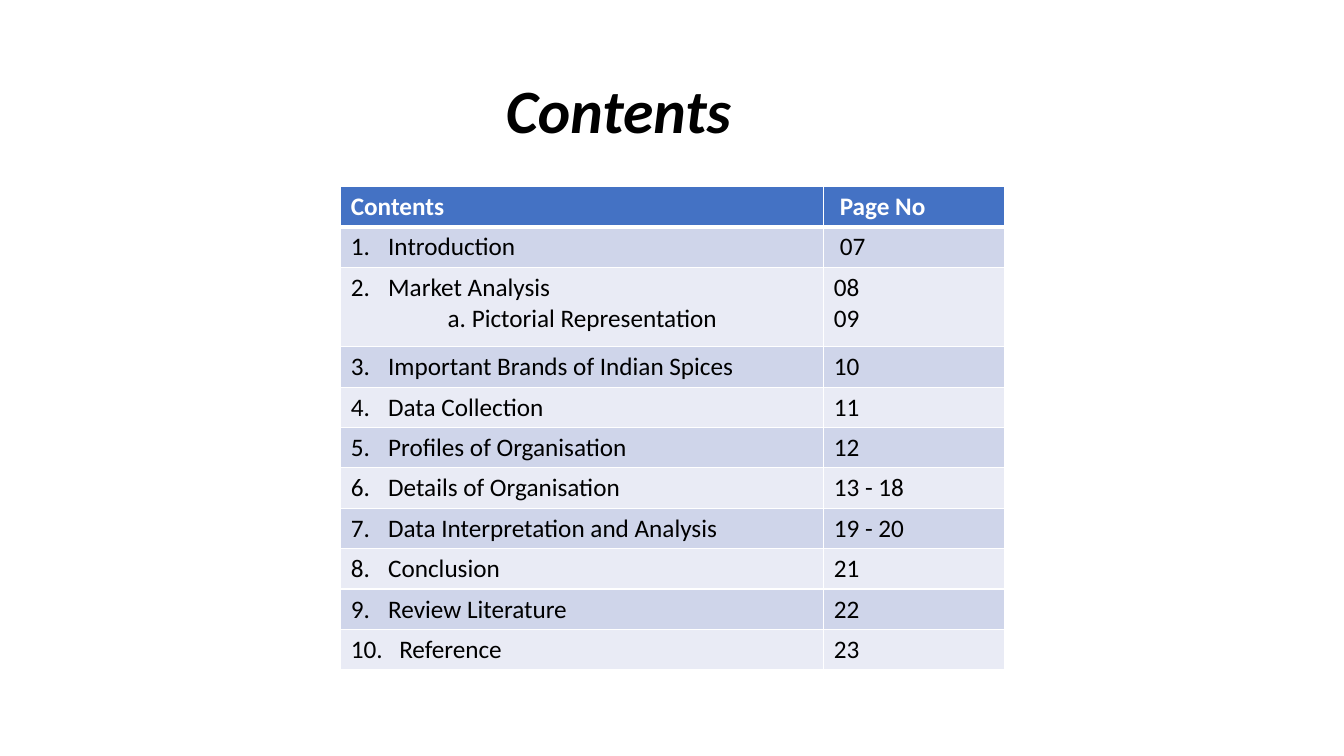
from pptx import Presentation
from pptx.dml.color import RGBColor as RGB
from pptx.enum.text import MSO_ANCHOR as Anchor
from pptx.oxml import parse_xml
from pptx.oxml.ns import nsdecls
from pptx.util import Inches, Pt

HUES = {"ink": "000000", "head": "4472C4", "odd": "CFD5EA", "even": "E9EBF5", "white": "FFFFFF"}
ITEMS = [
    ("Introduction", "07"),
    ("Market Analysis", "08"),
    ("Important Brands of Indian Spices", "10"),
    ("Data Collection", "11"),
    ("Profiles of Organisation", "12"),
    ("Details of Organisation", "13 - 18"),
    ("Data Interpretation and Analysis", "19 - 20"),
    ("Conclusion", "21"),
    ("Review Literature", "22"),
    ("Reference", "23"),
]
SUBS = {2: ("a. Pictorial Representation", "09")}


def style(para, size, hue, bold=False, italic=False):
    """Set the font of a whole paragraph."""
    font = para.font
    font.name, font.size, font.bold, font.italic = "Calibri", Pt(size), bold, italic
    font.color.rgb = RGB.from_string(HUES[hue])


def indent(para, left, hang=0, start=None):
    """Indent a paragraph and number it if a start is given."""
    props = para._p.get_or_add_pPr()
    props.set("marL", str(Inches(left)))
    props.set("indent", str(-Inches(hang)))
    if start:
        props.append(parse_xml(
            f'<a:buAutoNum {nsdecls("a")} type="arabicPeriod" startAt="{start}"/>'))


def paint(cell, hue, base=1):
    """Give a cell white borders and a solid fill."""
    props = cell._tc.get_or_add_tcPr()
    for side, width in (("L", 1), ("R", 1), ("T", 1), ("B", base)):
        props.append(parse_xml(
            f'<a:ln{side} {nsdecls("a")} w="{Pt(width)}"><a:solidFill>'
            f'<a:srgbClr val="{HUES["white"]}"/></a:solidFill></a:ln{side}>'))
    cell.fill.solid()
    cell.fill.fore_color.rgb = RGB.from_string(HUES[hue])


def write(cell, lines, hue, bold=False):
    """Write lines into a cell and return its paragraphs."""
    cell.text = "\n".join(lines)
    paras = cell.text_frame.paragraphs
    for para in paras:
        style(para, 18, hue, bold)
    return paras


def add_title(slide, left, top, width, height):
    """Place the slide heading in the given box."""
    frame = slide.shapes.add_textbox(*map(Inches, (left, top, width, height))).text_frame
    frame.word_wrap = True
    frame.vertical_anchor = Anchor.MIDDLE
    para = frame.paragraphs[0]
    para.text = "Contents"
    para.line_spacing = 0.9
    style(para, 44, "ink", True, True)


def add_index(slide, left, top, width, height):
    """Place the table of contents in the given box."""
    table = slide.shapes.add_table(
        len(ITEMS) + 1, 2, *map(Inches, (left, top, width, height))).table
    pages = 1.79
    for col, wide in zip(table.columns, (width - pages, pages)):
        col.width = Inches(wide)
    table.rows[0].height = Inches(0.38)
    for col, label in enumerate(("Contents", "Page No")):
        cell = table.cell(0, col)
        paint(cell, "head", 3)
        para = write(cell, [label], "white", True)[0]
        indent(para, 0.06 * col)
    for num, (name, page) in enumerate(ITEMS, 1):
        table.rows[num].height = Inches(0.79 if num in SUBS else 0.4)
        sub = SUBS.get(num)
        names, nums = ([name, sub[0]], [page, sub[1]]) if sub else ([name], [page])
        topic, place = table.cell(num, 0), table.cell(num, 1)
        for cell in (topic, place):
            paint(cell, "odd" if num % 2 else "even")
        paras = write(topic, names, "ink")
        hang = 0.37 if num < 10 else 0.48
        indent(paras[0], hang, hang, num)
        for para in paras[1:]:
            indent(para, 0.96)
        para = write(place, nums, "ink")[0]
        indent(para, 0.06 if num == 1 else 0)


def main():
    """Build the contents slide and save it."""
    deck = Presentation()
    deck.slide_width, deck.slide_height = Inches(13.33), Inches(7.5)
    slide = deck.slides.add_slide(deck.slide_layouts[6])
    add_title(slide, 4.92, 0.4, 7.5, 1.45)
    add_index(slide, 3.38, 1.85, 6.58, 4.8)
    deck.save("out.pptx")


if __name__ == "__main__":
    main()
